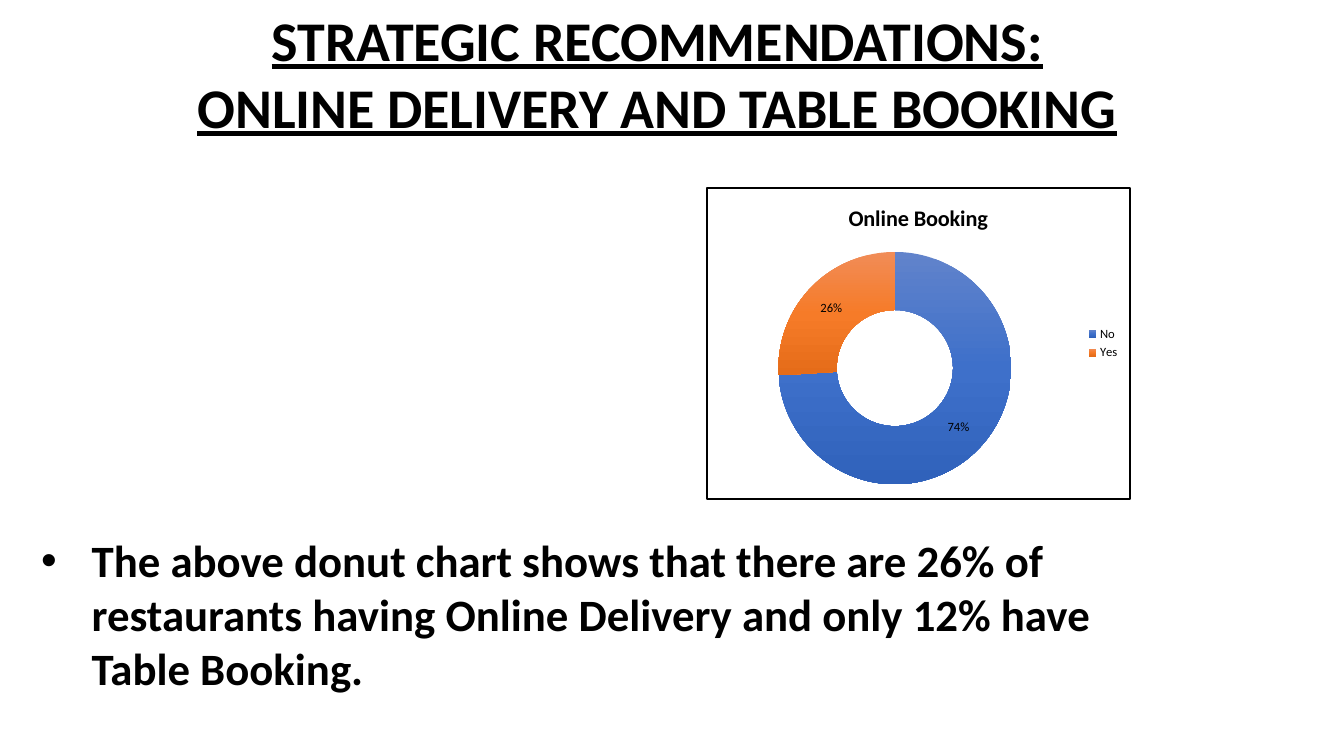
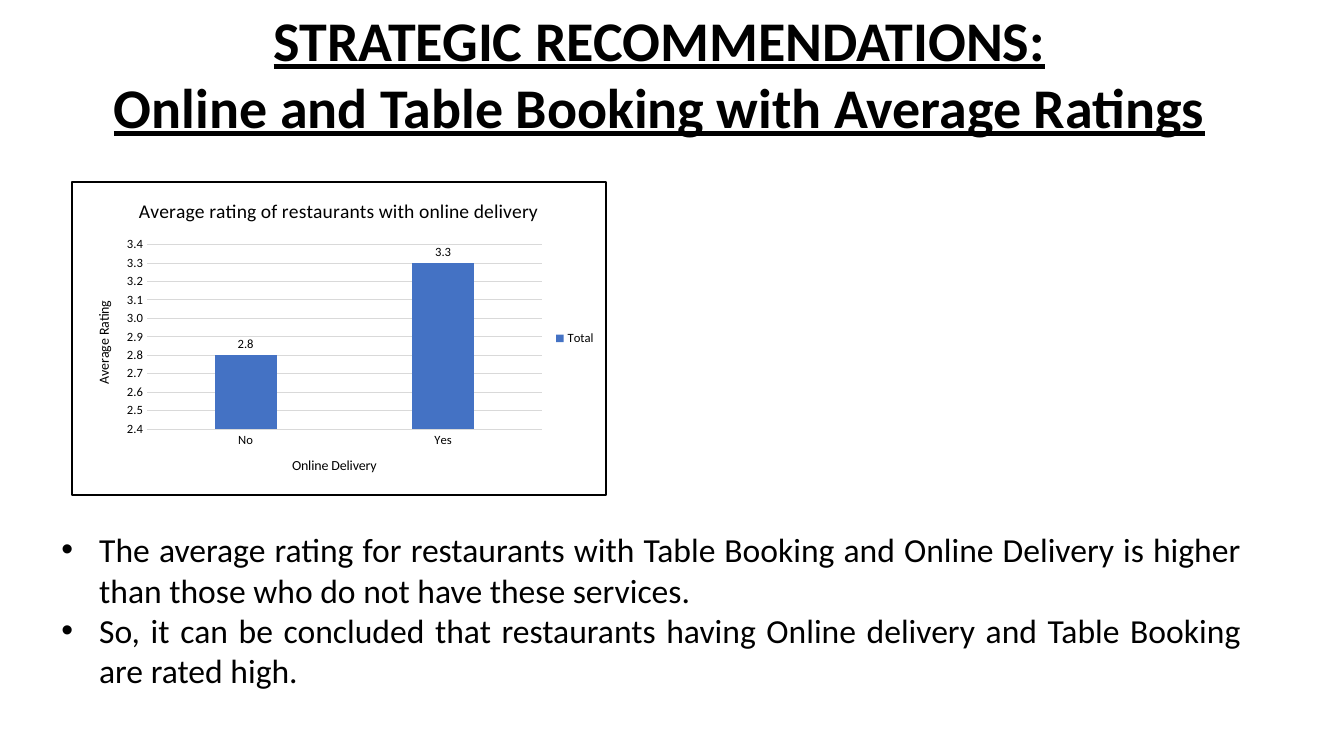
from pptx import Presentation
from pptx.chart.data import CategoryChartData
from pptx.dml.color import RGBColor
from pptx.enum.chart import (XL_CHART_TYPE, XL_LABEL_POSITION,
                             XL_LEGEND_POSITION, XL_TICK_MARK)
from pptx.enum.text import MSO_ANCHOR, MSO_AUTO_SIZE, PP_ALIGN
from pptx.oxml import parse_xml
from pptx.util import Cm, Pt

DONUT, COLUMN = XL_CHART_TYPE.DOUGHNUT, XL_CHART_TYPE.COLUMN_CLUSTERED
OUTER, RIGHT = XL_LABEL_POSITION.OUTSIDE_END, XL_LEGEND_POSITION.RIGHT
NO_TICK = XL_TICK_MARK.NONE
TOP, FIXED = MSO_ANCHOR.TOP, MSO_AUTO_SIZE.NONE
LEFT, CENTER, JUSTIFY = PP_ALIGN.LEFT, PP_ALIGN.CENTER, PP_ALIGN.JUSTIFY

FACE = "Calibri"
HEX = {"ink": "000000", "paper": "FFFFFF", "grid": "D9D9D9", "bar": "4472C4"}
# Gradient colours from top to bottom of each ring slice
FADES = [("6183CB", "3E70CA", "3062BB"), ("F18C57", "F67B28", "E56C19")]
NS = ('xmlns:a="http://schemas.openxmlformats.org/drawingml/2006/main" '
      'xmlns:c="http://schemas.openxmlformats.org/drawingml/2006/chart"')


def color(name):
    return RGBColor.from_string(HEX[name])


def style(font, size, bold=False):
    font.name, font.size, font.bold = FACE, Pt(size), bold
    font.color.rgb = color("ink")


def place(shape, box):
    shape.left, shape.top, shape.width, shape.height = map(Cm, box)


def add_title(slide, box, lines):
    title = slide.shapes.title
    place(title, box)
    frame = title.text_frame
    frame.text = "\n".join(lines)
    frame.word_wrap, frame.auto_size = True, FIXED
    frame.vertical_anchor = TOP
    for para in frame.paragraphs:
        para.alignment = CENTER
        style(para.font, 40, True)
        para.font.underline = True


def add_points(slide, box, lines, size, indent, align=LEFT, bold=False):
    frame = slide.shapes.add_textbox(*map(Cm, box)).text_frame
    frame.word_wrap = True
    frame.text = "\n".join(lines)
    for para in frame.paragraphs:
        para.alignment = align
        style(para.font, size, bold)
        # Hanging bullet
        props = para._p.get_or_add_pPr()
        props.set("marL", str(Cm(indent)))
        props.set("indent", str(-Cm(indent)))
        props.insert(0, parse_xml(f'<a:buFont {NS} typeface="Arial"/>'))
        props.insert(1, parse_xml(f'<a:buChar {NS} char="•"/>'))


def label(owner, text, size, bold=False):
    frame = owner.text_frame
    frame.text = text
    style(frame.paragraphs[0].font, size, bold)


def add_chart(slide, box, kind, series, values, form, area, border):
    """Framed chart; area is the plot's x, y, w, h as shares of the box."""
    data = CategoryChartData(number_format=form)
    data.categories = ["No", "Yes"]
    data.add_series(series, values)
    chart = slide.shapes.add_chart(kind, *map(Cm, box), data).chart
    style(chart.font, 10)
    root = chart.element

    # White panel with a black border
    root.xpath("c:chart")[0].addnext(parse_xml(
        f'<c:spPr {NS}><a:solidFill><a:srgbClr val="{HEX["paper"]}"/>'
        f'</a:solidFill><a:ln w="{Pt(border)}"><a:solidFill>'
        f'<a:srgbClr val="{HEX["ink"]}"/></a:solidFill></a:ln></c:spPr>'))

    # Plot position
    plot_area = root.xpath("c:chart/c:plotArea")[0]
    for old in plot_area.xpath("c:layout"):
        plot_area.remove(old)
    sides = "".join(f'<c:{key} val="{share}"/>'
                    for key, share in zip("xywh", area))
    plot_area.insert(0, parse_xml(
        f'<c:layout {NS}><c:manualLayout><c:layoutTarget val="inner"/>'
        f'<c:xMode val="edge"/><c:yMode val="edge"/>{sides}'
        '</c:manualLayout></c:layout>'))

    # Legend and value labels
    chart.has_legend = True
    chart.legend.position = RIGHT
    chart.legend.include_in_layout = False
    style(chart.legend.font, 9)
    plot = chart.plots[0]
    plot.has_data_labels = True
    tags = plot.data_labels
    tags.show_value, tags.show_percentage = True, False
    tags.number_format, tags.number_format_is_linked = form, False
    style(tags.font, 9)
    return chart


def add_donut(slide, box):
    chart = add_chart(slide, box, DONUT, "Series 1", (0.74, 0.26), "0%",
                      (0.17, 0.2, 0.55, 0.76), 1.5)
    chart.has_title = True
    label(chart.chart_title, "Online Booking", 16, True)
    plot = chart.plots[0]
    plot.vary_by_categories = True
    for hole in chart.element.xpath(".//c:holeSize"):
        hole.set("val", "75")
    for index, fade in enumerate(FADES):
        fill = plot.series[0].points[index].format.fill
        fill.gradient()
        fill.gradient_angle = 270
        stops = chart.element.xpath(".//a:gsLst")[index]
        stops[:] = [parse_xml(f'<a:gs {NS} pos="{step * 50000}">'
                              f'<a:srgbClr val="{tone}"/></a:gs>')
                    for step, tone in enumerate(fade)]


def add_columns(slide, box):
    chart = add_chart(slide, box, COLUMN, "Total", (2.8, 3.3), "0.0",
                      (0.14, 0.2, 0.74, 0.59), 1)
    chart.has_title = True
    label(chart.chart_title,
          "Average rating of restaurants with online delivery", 14)
    plot = chart.plots[0]
    plot.vary_by_categories = False
    plot.gap_width, plot.overlap = 219, -27
    plot.data_labels.position = OUTER
    fill = plot.series[0].format.fill
    fill.solid()
    fill.fore_color.rgb = color("bar")

    # Axes
    across, up = chart.category_axis, chart.value_axis
    for axis, text in ((across, "Online Delivery"), (up, "Average Rating")):
        axis.major_tick_mark = axis.minor_tick_mark = NO_TICK
        style(axis.tick_labels.font, 9)
        label(axis.axis_title, text, 10)
    chart.element.xpath(".//c:valAx/c:title//a:bodyPr")[0].set(
        "rot", "-5400000")
    up.minimum_scale, up.maximum_scale, up.major_unit = 2.4, 3.4, 0.1
    up.tick_labels.number_format = "0.0"
    up.tick_labels.number_format_is_linked = False
    up.has_major_gridlines = True
    up.format.line.fill.background()
    for line in (across.format.line, up.major_gridlines.format.line):
        line.width = Pt(0.75)
        line.color.rgb = color("grid")


def booking_slide(deck):
    slide = deck.slides.add_slide(deck.slide_layouts[5])
    add_title(slide, (1.09, 0, 30.94, 5.38),
              ["STRATEGIC RECOMMENDATIONS:",
               "ONLINE DELIVERY AND TABLE BOOKING"])
    add_donut(slide, (17.78, 4.7, 10.72, 7.9))
    add_points(slide, (0.79, 13.31, 29.03, 5.74),
               ["The above donut chart shows that there are 26% of restaurants "
                "having Online Delivery and only 12% have Table Booking."],
               32, 1.27, bold=True)


def rating_slide(deck):
    slide = deck.slides.add_slide(deck.slide_layouts[5])
    add_title(slide, (0.74, 0, 31.75, 5.38),
              ["STRATEGIC RECOMMENDATIONS:",
               "Online and Table Booking with Average Ratings"])
    add_columns(slide, (1.8, 4.57, 13.49, 7.92))
    add_points(slide, (1.3, 13.21, 30.23, 5.8),
               ["The average rating for restaurants with Table Booking and "
                "Online Delivery is higher than those who do not have these "
                "services.",
                "So, it can be concluded that restaurants having Online "
                "delivery and Table Booking are rated high."],
               24, 0.95, JUSTIFY)


def main():
    deck = Presentation()
    deck.slide_width, deck.slide_height = Cm(33.87), Cm(19.05)
    booking_slide(deck)
    rating_slide(deck)
    deck.save("out.pptx")


if __name__ == "__main__":
    main()
